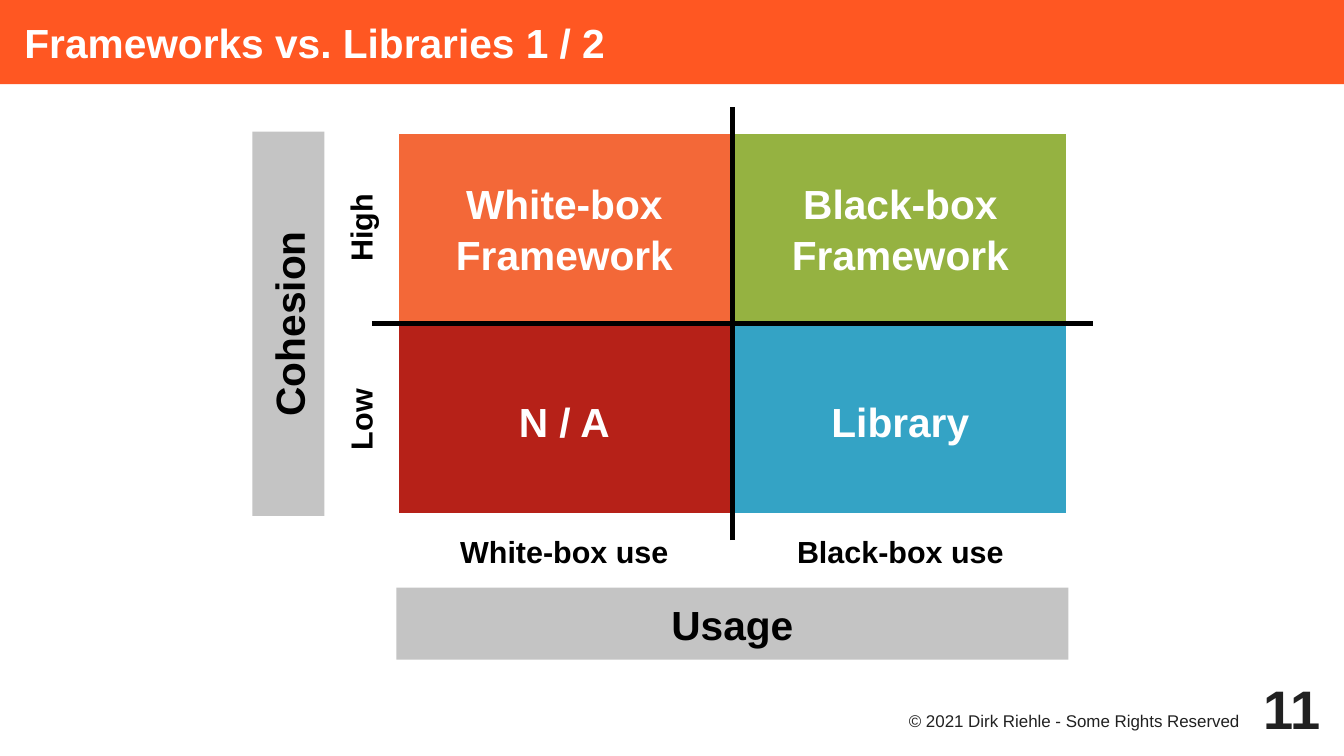
from lxml import etree
from pptx import Presentation
from pptx.dml.color import RGBColor
from pptx.enum.shapes import MSO_CONNECTOR, MSO_SHAPE
from pptx.enum.text import MSO_ANCHOR, PP_ALIGN
from pptx.oxml.ns import qn
from pptx.util import Inches, Pt

LEFT, CENTER, RIGHT = PP_ALIGN.LEFT, PP_ALIGN.CENTER, PP_ALIGN.RIGHT
TOP, MIDDLE = MSO_ANCHOR.TOP, MSO_ANCHOR.MIDDLE

# Content
TITLE = "Frameworks vs. Libraries 1 / 2"
QUADRANTS = [
    [("White-box\nFramework", "orange"), ("Black-box\nFramework", "green")],
    [("N / A", "red"), ("Library", "blue")],
]
USAGE, USAGE_LEVELS = "Usage", ["White-box use", "Black-box use"]
COHESION, COHESION_LEVELS = "Cohesion", ["High", "Low"]
COPYRIGHT = "© 2021 Dirk Riehle - Some Rights Reserved"
PAGE_NUMBER = "11"

COLORS = {
    "title": "FF5722", "orange": "F36838", "green": "95B241",
    "red": "B62118", "blue": "34A3C5", "gray": "C4C4C4",
    "white": "FFFFFF", "black": "000000", "footer": "212121",
}

# Grid, in inches
WIDTH, HEIGHT = 11.02, 6.2
TITLE_HEIGHT = 0.69
GRID_LEFT, GRID_TOP = 3.25, 1.08
CELL_WIDTH, CELL_HEIGHT = 2.755, 1.575
GRID_WIDTH, GRID_HEIGHT = 2 * CELL_WIDTH, 2 * CELL_HEIGHT
GRID_BOTTOM = GRID_TOP + GRID_HEIGHT
BAND = 0.59
OVERHANG = 0.2
LINE_WIDTH = 2.83
LEVEL_INSET = (0.08,) * 4

deck = Presentation()
deck.slide_width, deck.slide_height = Inches(WIDTH), Inches(HEIGHT)
page = deck.slides.add_slide(deck.slide_layouts[5])


def color(name):
    return RGBColor.from_string(COLORS[name])


def place(box, left, top, width, height):
    box.left, box.top = Inches(left), Inches(top)
    box.width, box.height = Inches(width), Inches(height)


def write(box, text, size=24, ink="black", bold=True, align=CENTER,
          anchor=MIDDLE, inset=(0, 0, 0, 0), spacing=1.0):
    frame = box.text_frame
    frame.word_wrap = True
    frame.vertical_anchor = anchor
    (frame.margin_left, frame.margin_top,
     frame.margin_right, frame.margin_bottom) = map(Inches, inset)
    frame.text = text
    for para in frame.paragraphs:
        para.alignment = align
        para.line_spacing = spacing
        para.font.name, para.font.size = "Arial", Pt(size)
        para.font.bold = bold
        para.font.color.rgb = color(ink)


def add_text(area, text, **style):
    box = page.shapes.add_textbox(*map(Inches, area))
    write(box, text, **style)
    return box


def add_block(area, text, fill, border=None, **style):
    box = page.shapes.add_shape(MSO_SHAPE.RECTANGLE, *map(Inches, area))
    box.shadow.inherit = False
    box.fill.solid()
    box.fill.fore_color.rgb = color(fill)
    if border:
        box.line.color.rgb = color(border)
        box.line.width = Pt(LINE_WIDTH)
    else:
        box.line.fill.background()
    write(box, text, **style)
    return box


def add_axis(*ends):
    axis = page.shapes.add_connector(MSO_CONNECTOR.STRAIGHT, *map(Inches, ends))
    axis.line.color.rgb = color("black")
    axis.line.width = Pt(LINE_WIDTH)
    etree.SubElement(axis.element.spPr, qn("a:effectLst"))


def upright(center_x, center_y, length):
    """Area of a band that is turned a quarter around its center."""
    return center_x - length / 2, center_y - BAND / 2, length, BAND


# Title bar
title = page.shapes.title
place(title, 0, 0, WIDTH, TITLE_HEIGHT)
title.fill.solid()
title.fill.fore_color.rgb = color("title")
write(title, TITLE, ink="white", align=LEFT, inset=(0.2, 0, 0, 0))

# Quadrants
for row, cells in enumerate(QUADRANTS):
    for column, (text, fill) in enumerate(cells):
        area = (GRID_LEFT + column * CELL_WIDTH, GRID_TOP + row * CELL_HEIGHT,
                CELL_WIDTH, CELL_HEIGHT)
        add_block(area, text, fill, border="white", ink="white",
                  inset=(0.12, 0.07, 0.12, 0.07), spacing=1.05)

# Axes
middle_x, middle_y = GRID_LEFT + CELL_WIDTH, GRID_TOP + CELL_HEIGHT
add_axis(GRID_LEFT - OVERHANG, middle_y,
         GRID_LEFT + GRID_WIDTH + OVERHANG, middle_y)
add_axis(middle_x, GRID_BOTTOM + OVERHANG, middle_x, GRID_TOP - OVERHANG)

# Usage, below the grid
for column, level in enumerate(USAGE_LEVELS):
    add_text((GRID_LEFT + column * CELL_WIDTH, GRID_BOTTOM, CELL_WIDTH, BAND),
             level, size=18, inset=LEVEL_INSET)
add_block((GRID_LEFT, GRID_BOTTOM + BAND, GRID_WIDTH, BAND), USAGE, "gray")

# Cohesion, left of the grid
for row, level in enumerate(COHESION_LEVELS):
    area = upright(GRID_LEFT - BAND / 2, GRID_TOP + (row + 0.5) * CELL_HEIGHT,
                   CELL_HEIGHT)
    add_text(area, level, size=18, inset=LEVEL_INSET).rotation = 270
area = upright(GRID_LEFT - 1.5 * BAND, middle_y, GRID_HEIGHT)
add_block(area, COHESION, "gray").rotation = 270

# Footer
add_text((7.09, 5.81, 3.15 - 0.2 + OVERHANG, 0.3), COPYRIGHT, size=10,
         ink="footer", bold=False, align=RIGHT, anchor=TOP,
         inset=(0, 0.02, 0.08, 0))
add_text((10.04, 5.51, 0.79 - 0.2 + OVERHANG, BAND), PAGE_NUMBER, size=32,
         ink="footer", align=RIGHT)

deck.save("out.pptx")
